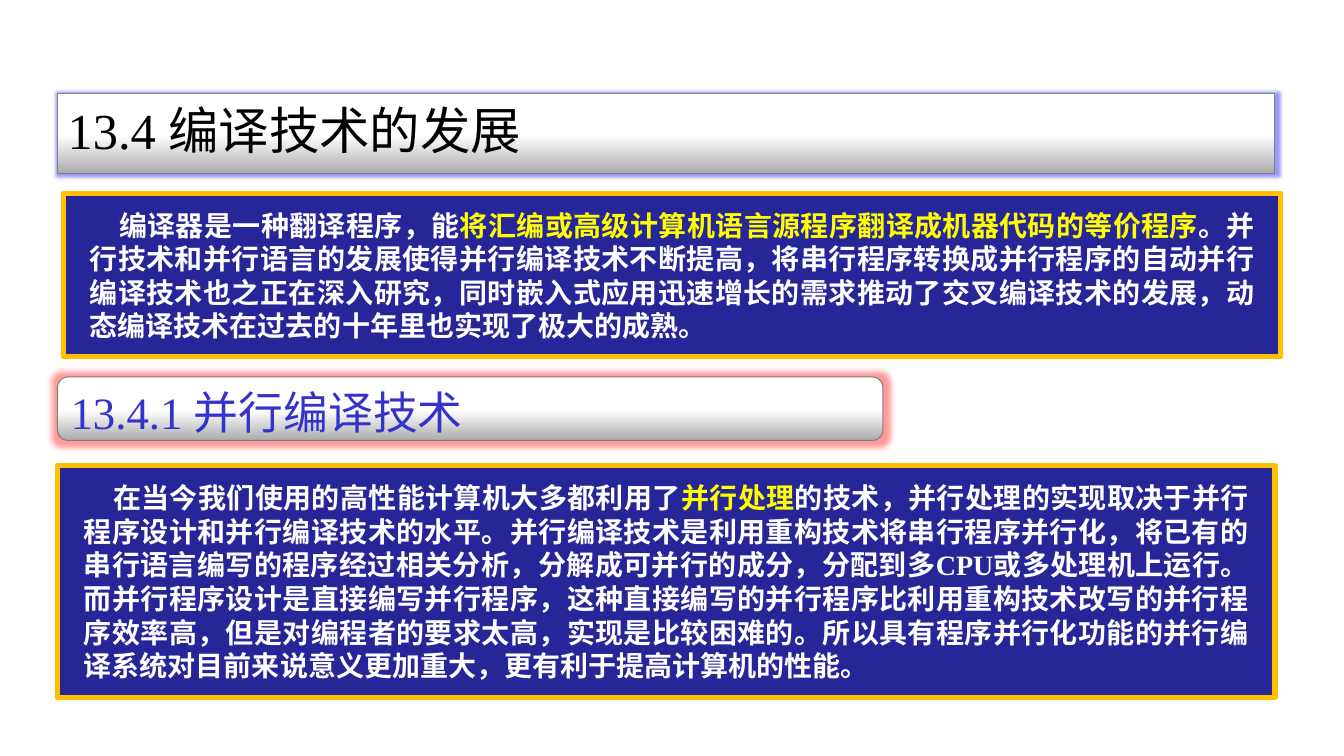
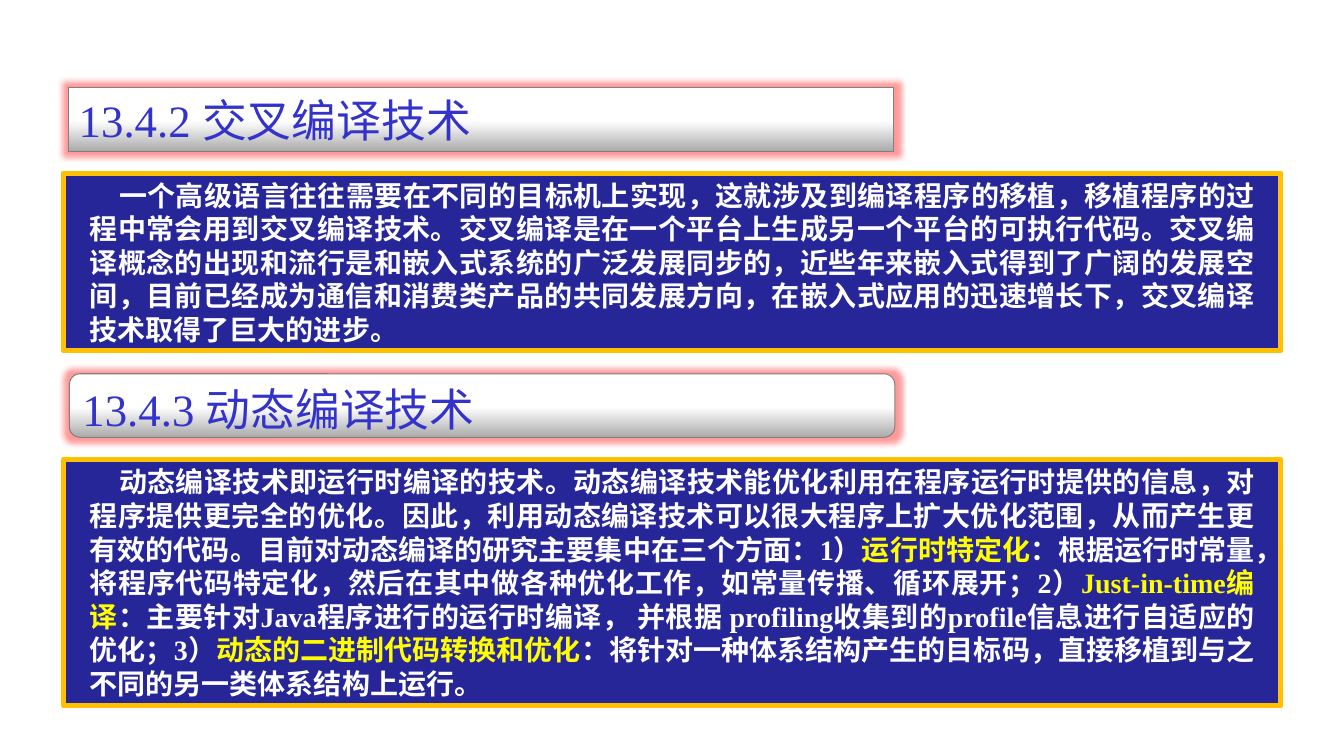
"""Build two slides on the development of compiler technology."""
from dataclasses import dataclass
from typing import NamedTuple

from pptx import Presentation
from pptx.dml.color import RGBColor as Rgb
from pptx.enum.shapes import MSO_SHAPE as Preset
from pptx.enum.text import MSO_ANCHOR as Anchor, MSO_AUTO_SIZE as AutoSize, PP_ALIGN as Align
from pptx.oxml import parse_xml
from pptx.oxml.ns import nsdecls, qn
from pptx.shapes.base import BaseShape
from pptx.slide import Slide
from pptx.text.text import TextFrame, _Paragraph as Paragraph
from pptx.util import Cm, Pt

COLORS = {
    "black": "000000",
    "white": "FFFFFF",
    "heading": "3333CC",
    "marked": "FFFF00",
    "panel": "262699",
    "frame": "FFC000",
    "band_edge": "808080",
    "band_shade": "ABABAB",
    "blue_glow": "0000FF",
    "red_glow": "FF0000",
}
FONT = "Times New Roman"
PANEL_WIDTH = 30.68
TWO_CONTENT = 3


class Span(NamedTuple):
    text: str
    color: str = "white"


@dataclass(frozen=True)
class Heading:
    text: str
    left: float
    top: float
    width: float = 20.8
    height: float = 1.6
    size: int = 32
    color: str = "heading"
    glow: str = "red_glow"
    glow_radius: int = 8


@dataclass(frozen=True)
class Panel:
    left: float
    top: float
    height: float
    margin: float
    spans: tuple[Span, ...]


@dataclass(frozen=True)
class Page:
    headings: tuple[Heading, Heading]
    panels: tuple[Panel, Panel]


PAGES = (
    Page(
        (
            Heading("13.4 编译技术的发展", 1.45, 2.36, PANEL_WIDTH, 2.01, 36,
                    "black", "blue_glow", 5),
            Heading("13.4.1 并行编译技术", 1.45, 9.5),
        ),
        (
            Panel(1.6, 4.88, 4.11, 0.36, (
                Span("编译器是一种翻译程序，能"),
                Span("将汇编或高级计算机语言源程序翻译成机器代码的等价程序", "marked"),
                Span("。并行技术和并行语言的发展使得并行编译技术不断提高，"
                     "将串行程序转换成并行程序的自动并行编译技术也之正在深入研究，"
                     "同时嵌入式应用迅速增长的需求推动了交叉编译技术的发展，"
                     "动态编译技术在过去的十年里也实现了极大的成熟。"),
            )),
            Panel(1.45, 11.73, 5.84, 0.36, (
                Span("在当今我们使用的高性能计算机大多都利用了"),
                Span("并行处理", "marked"),
                Span("的技术，并行处理的实现取决于并行程序设计和并行编译技术的水平。"
                     "并行编译技术是利用重构技术将串行程序并行化，"
                     "将已有的串行语言编写的程序经过相关分析，分解成可并行的成分，"
                     "分配到多CPU或多处理机上运行。而并行程序设计是直接编写并行程序，"
                     "这种直接编写的并行程序比利用重构技术改写的并行程序效率高，"
                     "但是对编程者的要求太高，实现是比较困难的。"
                     "所以具有程序并行化功能的并行编译系统对目前来说意义更加重大，"
                     "更有利于提高计算机的性能。"),
            )),
        ),
    ),
    Page(
        (
            Heading("13.4.2 交叉编译技术", 1.73, 2.21),
            Heading("13.4.3 动态编译技术", 1.75, 9.42),
        ),
        (
            Panel(1.6, 4.37, 4.47, 0.1, (
                Span("一个高级语言往往需要在不同的目标机上实现，这就涉及到编译程序的移植，"
                     "移植程序的过程中常会用到交叉编译技术。"
                     "交叉编译是在一个平台上生成另一个平台的可执行代码。"
                     "交叉编译概念的出现和流行是和嵌入式系统的广泛发展同步的，"
                     "近些年来嵌入式得到了广阔的发展空间，"
                     "目前已经成为通信和消费类产品的共同发展方向，"
                     "在嵌入式应用的迅速增长下，交叉编译技术取得了巨大的进步。"),
            )),
            Panel(1.6, 11.58, 6.2, 0.1, (
                Span("动态编译技术即运行时编译的技术。"
                     "动态编译技术能优化利用在程序运行时提供的信息，对程序提供更完全的优化。"
                     "因此，利用动态编译技术可以很大程序上扩大优化范围，从而产生更有效的代码。"
                     "目前对动态编译的研究主要集中在三个方面：1）"),
                Span("运行时特定化", "marked"),
                Span("：根据运行时常量，将程序代码特定化，然后在其中做各种优化工作，"
                     "如常量传播、循环展开；2）"),
                Span("Just-in-time编译", "marked"),
                Span("：主要针对Java程序进行的运行时编译， 并根据 profiling收集到的profile"
                     "信息进行自适应的优化；3）"),
                Span("动态的二进制代码转换和优化", "marked"),
                Span("：将针对一种体系结构产生的目标码，"
                     "直接移植到与之不同的另一类体系结构上运行。"),
            )),
        ),
    ),
)


def rgb(name: str) -> Rgb:
    return Rgb.from_string(COLORS[name])


def place(shape: BaseShape, left: float, top: float, width: float, height: float) -> None:
    shape.left, shape.top = Cm(left), Cm(top)
    shape.width, shape.height = Cm(width), Cm(height)


def outline(shape: BaseShape, *, color: str, width: float) -> None:
    shape.line.color.rgb = rgb(color)
    shape.line.width = Pt(width)


def set_frame(frame: TextFrame, *, wrap: bool, anchor: Anchor) -> None:
    frame.auto_size = AutoSize.NONE
    frame.word_wrap = wrap
    frame.vertical_anchor = anchor


def add_text(para: Paragraph, text: str, *, size: int, color: str, bold: bool) -> None:
    span = para.add_run()
    span.text = text
    span.font.name = FONT
    span.font.size = Pt(size)
    span.font.bold = bold
    span.font.color.rgb = rgb(color)


def add_glow(shape: BaseShape, color: str, radius: int) -> None:
    shape.shadow.inherit = False
    effects = shape._element.spPr.find(qn("a:effectLst"))
    effects.append(parse_xml(
        f'<a:glow {nsdecls("a")} rad="{Pt(radius)}"><a:srgbClr val="{COLORS[color]}">'
        '<a:alpha val="40000"/></a:srgbClr></a:glow>'))


def round_corners(shape: BaseShape) -> None:
    shape._element.spPr.insert(1, parse_xml(
        f'<a:prstGeom {nsdecls("a")} prst="roundRect"><a:avLst/></a:prstGeom>'))


def draw_heading(box: BaseShape, heading: Heading) -> None:
    box.fill.gradient()
    box.fill.gradient_angle = 90
    stops = zip(box.fill.gradient_stops, (0, 0.48), ("band_shade", "white"))
    for stop, position, color in stops:
        stop.position = position
        stop.color.rgb = rgb(color)
    outline(box, color="band_edge", width=0.75)
    add_glow(box, heading.glow, heading.glow_radius)
    set_frame(box.text_frame, wrap=False, anchor=Anchor.TOP)
    para = box.text_frame.paragraphs[0]
    para.alignment = Align.LEFT
    add_text(para, heading.text, size=heading.size, color=heading.color, bold=False)


def draw_panel(box: BaseShape, panel: Panel) -> None:
    place(box, panel.left, panel.top, PANEL_WIDTH, panel.height)
    box.fill.solid()
    box.fill.fore_color.rgb = rgb("panel")
    outline(box, color="frame", width=3.75)
    frame = box.text_frame
    set_frame(frame, wrap=True, anchor=Anchor.MIDDLE)
    frame.margin_left = frame.margin_right = Cm(0.66)
    frame.margin_top = frame.margin_bottom = Cm(panel.margin)
    para = frame.paragraphs[0]
    para.alignment = Align.JUSTIFY
    para.space_before = Pt(0)
    para.line_spacing = Pt(24)
    properties = para._p.get_or_add_pPr()
    properties.set("marL", "0")
    properties.set("indent", str(Cm(0.74)))
    properties.append(parse_xml(f'<a:buNone {nsdecls("a")}/>'))
    for span in panel.spans:
        add_text(para, span.text, size=20, color=span.color, bold=True)


def draw_page(slide: Slide, page: Page) -> None:
    title, *bodies = slide.placeholders
    section = slide.shapes.add_shape(Preset.ROUNDED_RECTANGLE, 0, 0, 0, 0)
    for box, heading in zip((title, section), page.headings):
        place(box, heading.left, heading.top, heading.width, heading.height)
    round_corners(title)
    for box, heading in zip((title, section), page.headings):
        draw_heading(box, heading)
    for box, panel in zip(bodies, page.panels):
        draw_panel(box, panel)


def main() -> None:
    deck = Presentation()
    deck.slide_width, deck.slide_height = Cm(33.87), Cm(19.05)
    for page in PAGES:
        draw_page(deck.slides.add_slide(deck.slide_layouts[TWO_CONTENT]), page)
    deck.save("out.pptx")


if __name__ == "__main__":
    main()
